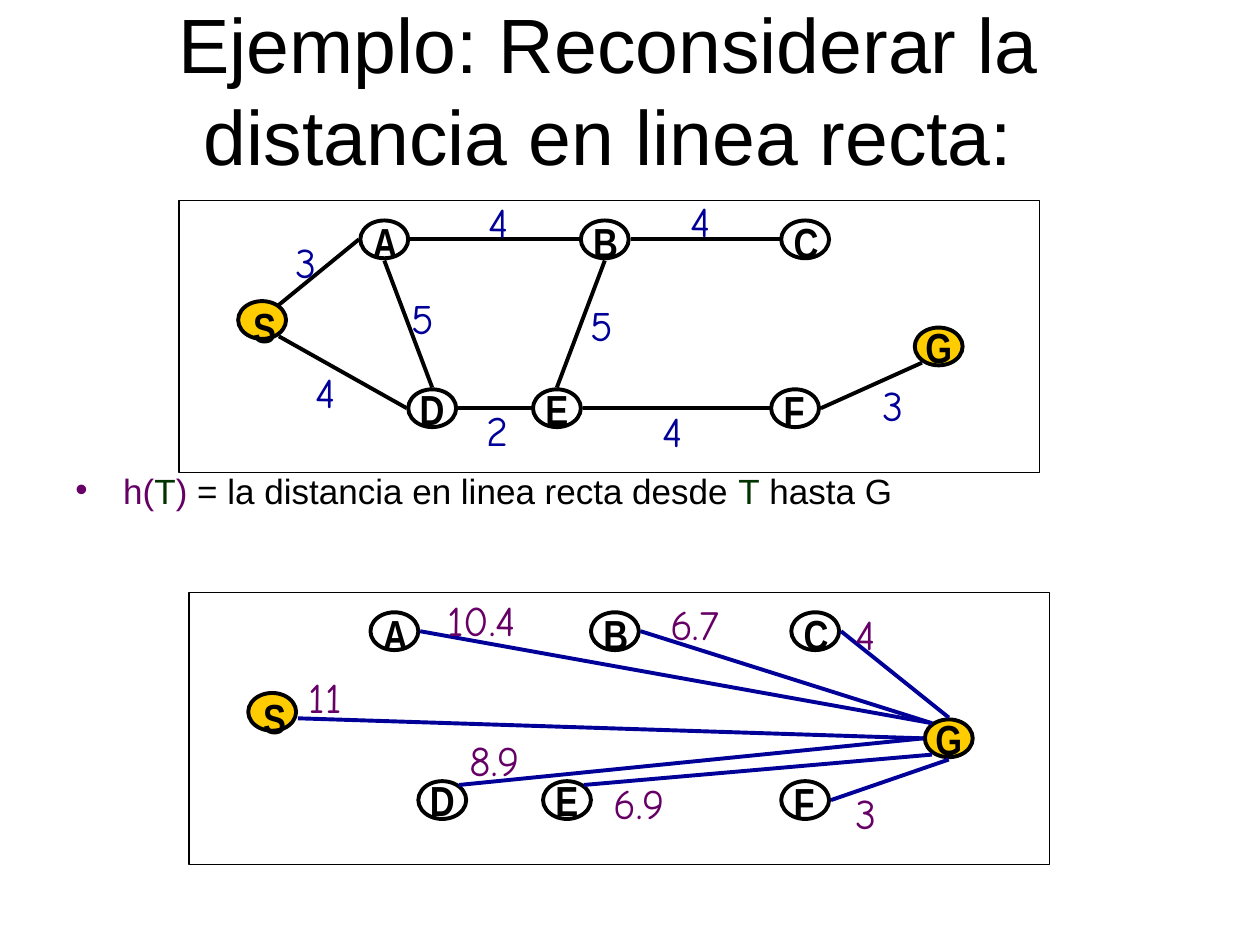
"""Build the slide comparing path costs with straight-line distances to G."""
import dataclasses
import typing

import lxml.etree
import pptx
import pptx.dml.color
import pptx.enum.shapes
import pptx.enum.text
import pptx.oxml.ns
import pptx.util

Inches = pptx.util.Inches
Pt = pptx.util.Pt
Anchor = pptx.enum.text.MSO_ANCHOR
Align = pptx.enum.text.PP_ALIGN
AutoSize = pptx.enum.text.MSO_AUTO_SIZE
Shapes = pptx.enum.shapes.MSO_SHAPE


@dataclasses.dataclass(frozen=True)
class Theme:
    black: str = "000000"
    white: str = "FFFFFF"
    gold: str = "FFCC00"
    blue: str = "000099"
    purple: str = "660066"
    green: str = "003300"
    body_font: str = "Arial"
    node_font: str = "Arial Narrow"
    label_font: str = "Comic Neue"
    title_size: float = 44
    body_size: float = 20
    graph_size: float = 24
    thin: float = 0.75
    thick: float = 2.25


class Span(typing.NamedTuple):
    text: str
    color: str


class Node(typing.NamedTuple):
    left: float
    top: float
    letter_shift: typing.Optional[tuple[float, float]] = None
    filled: bool = False


class Edge(typing.NamedTuple):
    start: str
    start_port: str
    end: str
    end_port: str
    label: str
    label_left: float
    label_top: float
    label_width: float = 0.37


@dataclasses.dataclass(frozen=True)
class Graph:
    left: float
    top: float
    line_color: str
    label_color: str
    edges: list[Edge]


THEME = Theme()
PANEL_WIDTH, PANEL_HEIGHT = 6.83, 2.16
NODE_WIDTH, NODE_HEIGHT = 0.38, 0.3
TEXT_HEIGHT = 0.5

NODES = {
    "S": Node(0.47, 0.8, (0.02, -0.05), filled=True),
    "A": Node(1.44, 0.16, (0, -0.08)),
    "B": Node(3.19, 0.16, (0, -0.08)),
    "C": Node(4.78, 0.16, (0, -0.08)),
    "D": Node(1.82, 1.5),
    "E": Node(2.81, 1.5),
    "F": Node(4.7, 1.5, (0, -0.09)),
    "G": Node(5.84, 1.01, filled=True),
}

PORTS = {
    "north": (0.5, -0.05),
    "south": (0.5, 1.06),
    "west": (-0.03, 0.5),
    "east": (1.04, 0.5),
    "low east": (1.04, 0.67),
    "northeast": (0.85, 0.1),
    "southeast": (0.85, 0.93),
    "northwest": (0.15, 0.1),
    "southwest": (0.15, 0.93),
}

GRAPHS = [
    Graph(1.42, 1.59, THEME.black, THEME.blue, [
        Edge("S", "southeast", "D", "west", "4", 0.99, 1.27),
        Edge("S", "northeast", "A", "west", "3", 0.83, 0.24),
        Edge("D", "east", "E", "west", "2", 2.34, 1.57),
        Edge("A", "east", "B", "west", "4", 2.36, -0.08),
        Edge("B", "east", "C", "west", "4", 3.96, -0.09),
        Edge("E", "east", "F", "west", "4", 3.74, 1.58),
        Edge("F", "east", "G", "southwest", "3", 5.49, 1.37),
        Edge("D", "north", "A", "south", "5", 1.75, 0.68),
        Edge("E", "north", "B", "south", "5", 3.17, 0.74),
    ]),
    Graph(1.5, 4.7, THEME.blue, THEME.purple, [
        Edge("C", "east", "G", "north", "4", 5.19, 0.08),
        Edge("B", "east", "G", "northwest", "6.7", 3.72, 0, 0.59),
        Edge("A", "east", "G", "northwest", "10.4", 1.95, -0.03, 0.74),
        Edge("S", "low east", "G", "west", "11", 0.85, 0.58, 0.46),
        Edge("F", "east", "G", "south", "3", 5.19, 1.5),
        Edge("E", "northeast", "G", "southwest", "6.9", 3.27, 1.42, 0.6),
        Edge("D", "northeast", "G", "west", "8.9", 2.13, 1.08, 0.6),
    ]),
]


def rgb(color: str) -> pptx.dml.color.RGBColor:
    """Turn a hexadecimal string into a colour."""
    return pptx.dml.color.RGBColor.from_string(color)


def write_text(box, spans: list[Span], *, font: str, size: float, bold: bool = False,
               align=Align.LEFT, anchor=Anchor.TOP, wrap: bool = False,
               bullet: typing.Optional[str] = None, spacing: typing.Optional[float] = None) -> None:
    """Write one paragraph of coloured spans into a shape."""
    frame = box.text_frame
    frame.word_wrap = wrap
    frame.auto_size = AutoSize.NONE
    frame.vertical_anchor = anchor
    para = frame.paragraphs[0]
    para.alignment = align
    if spacing:
        para.line_spacing = spacing
    if bullet:
        properties = para._p.get_or_add_pPr()
        properties.set("marL", str(Inches(0.38)))
        properties.set("indent", str(Inches(-0.38)))
        qualified = pptx.oxml.ns.qn
        color = lxml.etree.SubElement(properties, qualified("a:buClr"))
        lxml.etree.SubElement(color, qualified("a:srgbClr"), val=bullet)
        lxml.etree.SubElement(properties, qualified("a:buFont"), typeface=font)
        lxml.etree.SubElement(properties, qualified("a:buChar"), char="•")
    for span in spans:
        run = para.add_run()
        run.text = span.text
        run.font.name, run.font.size, run.font.bold = font, Pt(size), bold
        run.font.color.rgb = rgb(span.color)


def add_text(page, left: float, top: float, width: float, height: float,
             spans: list[Span], **style) -> None:
    """Add a text box at a place given in inches."""
    box = page.shapes.add_textbox(Inches(left), Inches(top), Inches(width), Inches(height))
    write_text(box, spans, **style)


def add_outline(page, kind, left: float, top: float, width: float, height: float,
                line_width: float, fill: typing.Optional[str]):
    """Add a black-edged shape with an optional fill."""
    shape = page.shapes.add_shape(kind, Inches(left), Inches(top), Inches(width), Inches(height))
    shape.shadow.inherit = False
    if fill:
        shape.fill.solid()
        shape.fill.fore_color.rgb = rgb(fill)
    else:
        shape.fill.background()
    shape.line.color.rgb = rgb(THEME.black)
    shape.line.width = Pt(line_width)
    return shape


def port_point(graph: Graph, name: str, port: str) -> tuple[int, int]:
    """Find where an edge meets a node."""
    across, down = PORTS[port]
    return (Inches(graph.left + NODES[name].left + across * NODE_WIDTH),
            Inches(graph.top + NODES[name].top + down * NODE_HEIGHT))


def draw_graph(page, graph: Graph) -> None:
    """Draw a panel with its nodes, edges and labels."""
    add_outline(page, Shapes.RECTANGLE, graph.left, graph.top, PANEL_WIDTH, PANEL_HEIGHT,
                THEME.thin, THEME.white)
    letter_style = {"font": THEME.node_font, "size": THEME.graph_size, "bold": True}
    for name, node in NODES.items():
        left, top = graph.left + node.left, graph.top + node.top
        oval = add_outline(page, Shapes.OVAL, left, top, NODE_WIDTH, NODE_HEIGHT,
                           THEME.thick, THEME.gold if node.filled else None)
        letter = [Span(name, THEME.black)]
        if node.letter_shift:
            across, down = node.letter_shift
            add_text(page, left + across, top + down, NODE_WIDTH, TEXT_HEIGHT, letter, **letter_style)
        else:
            write_text(oval, letter, align=Align.CENTER, anchor=Anchor.MIDDLE, **letter_style)
    for edge in graph.edges:
        line = page.shapes.add_connector(pptx.enum.shapes.MSO_CONNECTOR.STRAIGHT,
                                         *port_point(graph, edge.start, edge.start_port),
                                         *port_point(graph, edge.end, edge.end_port))
        line.line.color.rgb = rgb(graph.line_color)
        line.line.width = Pt(THEME.thick)
        lxml.etree.SubElement(line._element.spPr, pptx.oxml.ns.qn("a:effectLst"))
        add_text(page, graph.left + edge.label_left, graph.top + edge.label_top,
                 edge.label_width, TEXT_HEIGHT, [Span(edge.label, graph.label_color)],
                 font=THEME.label_font, size=THEME.graph_size)


def main() -> None:
    """Build and save the deck."""
    deck = pptx.Presentation()
    deck.slide_width, deck.slide_height = Inches(10), Inches(7.5)
    page = deck.slides.add_slide(deck.slide_layouts[6])
    add_text(page, 0.58, 0.08, 8.5, 1.25,
             [Span("Ejemplo: Reconsiderar la distancia en linea recta:", THEME.black)],
             font=THEME.body_font, size=THEME.title_size, align=Align.CENTER,
             anchor=Anchor.MIDDLE, wrap=True)
    add_text(page, 0.5, 3.77, 9, 0.35,
             [Span("h(", THEME.purple), Span("T", THEME.green), Span(")", THEME.purple),
              Span(" = la distancia en linea recta desde ", THEME.black),
              Span("T", THEME.green), Span(" hasta G", THEME.black)],
             font=THEME.body_font, size=THEME.body_size, wrap=True,
             bullet=THEME.purple, spacing=0.7)
    for graph in GRAPHS:
        draw_graph(page, graph)
    deck.save("out.pptx")


if __name__ == "__main__":
    main()
